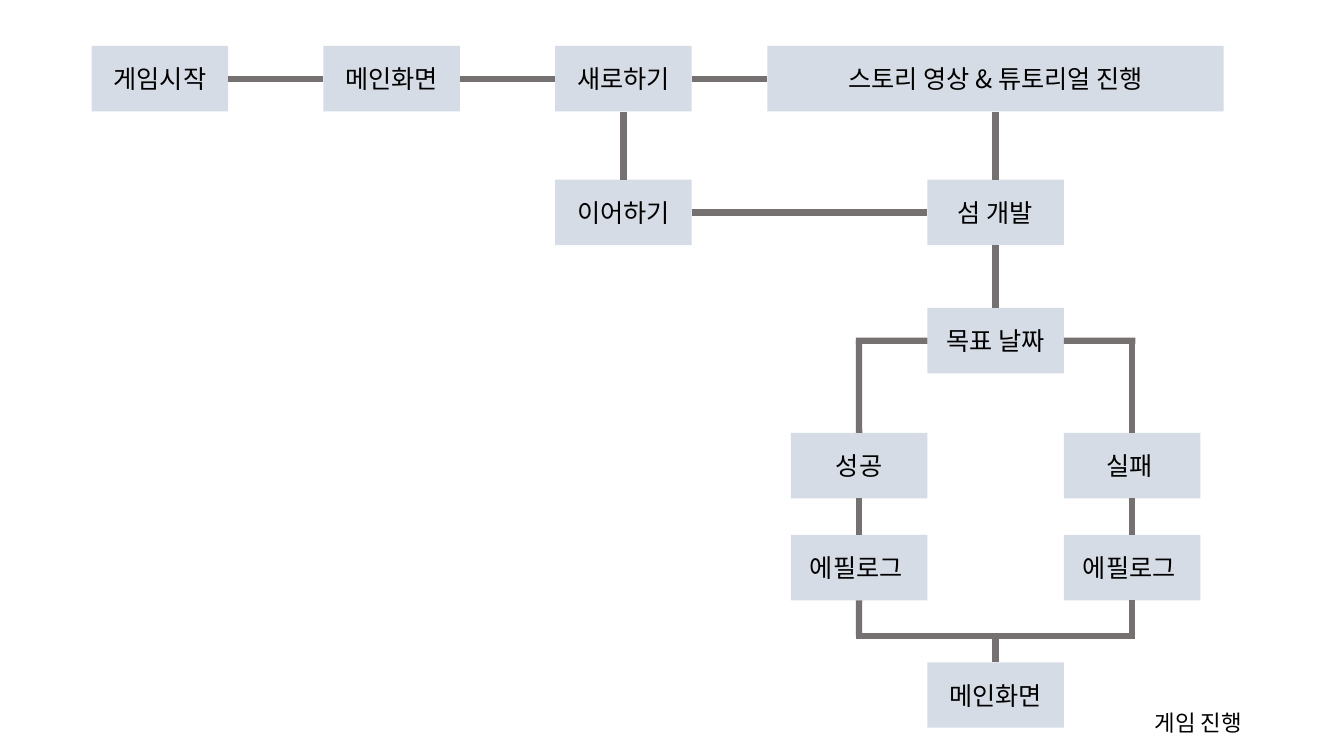
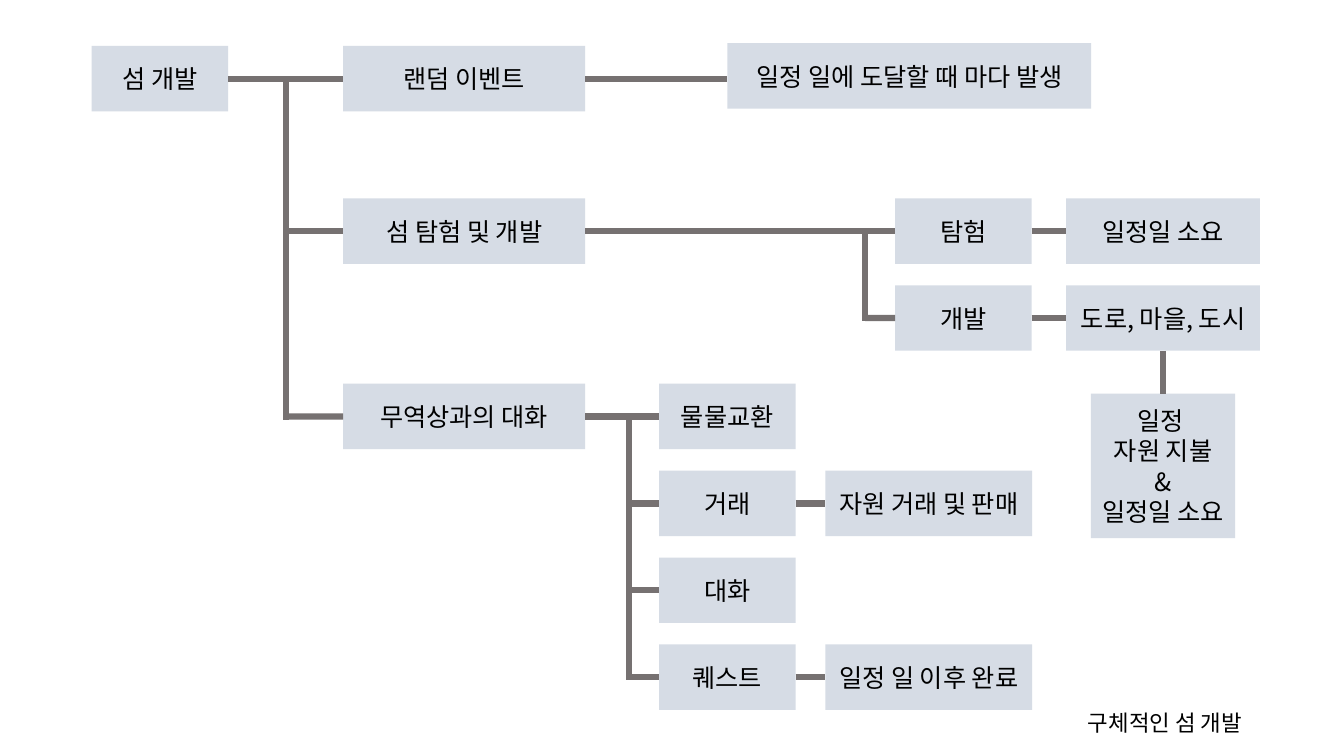
from dataclasses import dataclass
from typing import NamedTuple, Union

from lxml.etree import SubElement
from pptx import Presentation
from pptx.dml.color import RGBColor
from pptx.enum.shapes import MSO_CONNECTOR as Connector, MSO_SHAPE as Shape
from pptx.enum.text import MSO_ANCHOR as Anchor, MSO_AUTO_SIZE as AutoSize, PP_ALIGN as Align
from pptx.oxml.ns import qn
from pptx.util import Cm, Pt

FONT = "Noto Sans CJK KR"
BOX_FILL, LINE_COLOR, TEXT_COLOR = "D6DCE5", "767171", "000000"
LINE_WIDTH = 4.5
OVERLAP = 0.08  # half a line's width, squares off the corners
BOX_WIDTH, BOX_HEIGHT = 3.44, 1.65
HALF = BOX_HEIGHT / 2
FIRST_LEFT, FIRST_TOP = 2.31, 1.16
TOP, LEFT, BOTTOM, RIGHT = range(4)


@dataclass(frozen=True)
class Box:
    text: str
    left: float
    top: float
    width: float = BOX_WIDTH
    height: float = BOX_HEIGHT


class Port(NamedTuple):
    """The middle of one side of a named box."""
    box: str
    side: int


class Point(NamedTuple):
    x: float
    y: float


End = Union[Port, Point]


class Link(NamedTuple):
    begin: End
    end: End


def color(value: str) -> RGBColor:
    return RGBColor.from_string(value)


def write_text(frame, text: str, *, size: float = 18, align=Align.CENTER,
               anchor=Anchor.MIDDLE, spacing: float = 1.0) -> None:
    """Fill a text frame, one paragraph for each line of the text."""
    frame.word_wrap = True
    frame.auto_size = AutoSize.NONE
    frame.vertical_anchor = anchor
    frame.text = text
    for paragraph in frame.paragraphs:
        paragraph.alignment = align
        paragraph.line_spacing = spacing
        for run in paragraph.runs:
            run.font.name = FONT
            run.font.size = Pt(size)
            run.font.color.rgb = color(TEXT_COLOR)
            SubElement(run.font._element, qn("a:ea"), typeface=FONT)


def add_box(slide, box: Box):
    shape = slide.shapes.add_shape(
        Shape.RECTANGLE, Cm(box.left), Cm(box.top), Cm(box.width), Cm(box.height))
    shape.shadow.inherit = False
    shape.fill.solid()
    shape.fill.fore_color.rgb = color(BOX_FILL)
    shape.line.fill.background()
    write_text(shape.text_frame, box.text)
    return shape


def add_link(slide, shapes: dict, link: Link) -> None:
    """Draw a line, joined to a box at each end that is a Port."""
    begin, end = [(Cm(0), Cm(0)) if isinstance(point, Port) else (Cm(point.x), Cm(point.y))
                  for point in link]
    connector = slide.shapes.add_connector(Connector.STRAIGHT, *begin, *end)
    for point, connect in zip(link, (connector.begin_connect, connector.end_connect)):
        if isinstance(point, Port):
            connect(shapes[point.box], point.side)
    connector.line.color.rgb = color(LINE_COLOR)
    connector.line.width = Pt(LINE_WIDTH)
    SubElement(connector._element.spPr, qn("a:effectLst"))


def add_diagram(presentation, caption: str, boxes: dict[str, Box], links: list[Link]) -> None:
    slide = presentation.slides.add_slide(presentation.slide_layouts[5])
    shapes = {name: add_box(slide, box) for name, box in boxes.items()}
    for link in links:
        add_link(slide, shapes, link)
    title = slide.shapes.title
    title.left, title.top, title.width, title.height = Cm(13.87), Cm(17.4), Cm(17.68), Cm(1.19)
    write_text(title.text_frame, caption, size=16, align=Align.RIGHT,
               anchor=Anchor.TOP, spacing=1.5)


def across(left: str, right: str) -> Link:
    return Link(Port(left, RIGHT), Port(right, LEFT))


def down(upper: str, lower: str) -> Link:
    return Link(Port(upper, BOTTOM), Port(lower, TOP))


def trunk(x: float, first_top: float, last_top: float) -> Link:
    """A vertical line from the middle of one row to the middle of another."""
    return Link(Point(x, first_top + HALF), Point(x, last_top + HALF + OVERLAP))


def branch(x: float, box: str, top: float) -> Link:
    return Link(Point(x, top + HALF), Port(box, LEFT))


def add_game_flow(presentation) -> None:
    pitch = 5.84
    menu_left, new_left = FIRST_LEFT + pitch, FIRST_LEFT + 2 * pitch
    middle_left = 23.37
    win_left, lose_left = middle_left - BOX_WIDTH, middle_left + BOX_WIDTH
    middle, win, lose = [left + BOX_WIDTH / 2 for left in (middle_left, win_left, lose_left)]
    second_top, goal_top, result_top, epilogue_top = 4.53, 7.76, 10.91, 13.48
    goal_y, merge_y = goal_top + HALF, 16.03
    boxes = {
        "start": Box("게임시작", FIRST_LEFT, FIRST_TOP),
        "menu": Box("메인화면", menu_left, FIRST_TOP),
        "new": Box("새로하기", new_left, FIRST_TOP),
        "story": Box("스토리 영상 & 튜토리얼 진행", 19.34, FIRST_TOP, 11.5),
        "continue": Box("이어하기", new_left, second_top),
        "island": Box("섬 개발", middle_left, second_top),
        "goal": Box("목표 날짜", middle_left, goal_top),
        "win": Box("성공", win_left, result_top),
        "lose": Box("실패 ", lose_left, result_top),
        "win epilogue": Box("에필로그 ", win_left, epilogue_top),
        "lose epilogue": Box("에필로그 ", lose_left, epilogue_top),
        "end": Box("메인화면", middle_left, 16.69),
    }
    links = [
        across("start", "menu"), across("menu", "new"), across("new", "story"),
        down("new", "continue"), across("continue", "island"),
        down("story", "island"), down("island", "goal"),
        Link(Point(win - OVERLAP, merge_y), Point(lose + OVERLAP, merge_y)),
        Link(Point(middle, merge_y), Port("end", TOP)),
    ]
    for name, x, side, overlap in (("win", win, LEFT, -OVERLAP), ("lose", lose, RIGHT, OVERLAP)):
        epilogue = f"{name} epilogue"
        links += [
            Link(Port("goal", side), Point(x + overlap, goal_y)),
            Link(Point(x, goal_y), Port(name, TOP)),
            down(name, epilogue),
            Link(Port(epilogue, BOTTOM), Point(x, merge_y)),
        ]
    add_diagram(presentation, "게임 진행", boxes, links)


def add_island_development(presentation) -> None:
    row_pitch = 2.19
    explore_top, trader_top = 5.0, 9.67
    develop_top = explore_top + row_pitch
    barter_top, trade_top, talk_top, quest_top = [trader_top + row_pitch * row for row in range(4)]
    topic_left, topic_width = 8.65, 6.1
    trader_left, explore_left = 16.61, 22.56
    detail_left, detail_width = 20.8, 5.21
    cost_left, cost_width = 26.87, 4.88
    event_left, event_y = 18.33, FIRST_TOP + HALF
    island_x, trader_x, explore_x = 7.2, 15.85, 21.8
    boxes = {
        "island": Box("섬 개발", FIRST_LEFT, FIRST_TOP),
        "event": Box("랜덤 이벤트", topic_left, FIRST_TOP, topic_width),
        "survey": Box("섬 탐험 및 개발", topic_left, explore_top, topic_width),
        "trader": Box("무역상과의 대화", topic_left, trader_top, topic_width),
        "event date": Box("일정 일에 도달할 때 마다 발생", event_left, 1.09, 9.17),
        "explore": Box("탐험", explore_left, explore_top),
        "develop": Box("개발", explore_left, develop_top),
        "explore days": Box("일정일 소요", cost_left, explore_top, cost_width),
        "buildings": Box("도로, 마을, 도시", cost_left, develop_top, cost_width),
        "payment": Box("일정 \n자원 지불\n&\n일정일 소요", 27.49, 9.92, 3.64, 3.64),
        "barter": Box("물물교환", trader_left, barter_top),
        "trade": Box("거래", trader_left, trade_top),
        "talk": Box("대화", trader_left, talk_top),
        "quest": Box("퀘스트", trader_left, quest_top),
        "sale": Box("자원 거래 및 판매", detail_left, trade_top, detail_width),
        "quest end": Box("일정 일 이후 완료", detail_left, quest_top, detail_width),
    }
    links = [
        across("island", "event"),
        Link(Port("event", RIGHT), Point(event_left, event_y)),
        trunk(island_x, FIRST_TOP, trader_top),
        branch(island_x, "survey", explore_top),
        branch(island_x, "trader", trader_top),
        across("survey", "explore"),
        trunk(explore_x, explore_top, develop_top),
        branch(explore_x, "develop", develop_top),
        across("explore", "explore days"),
        across("develop", "buildings"),
        down("buildings", "payment"),
        across("trader", "barter"),
        trunk(trader_x, trader_top, quest_top),
        branch(trader_x, "trade", trade_top),
        branch(trader_x, "talk", talk_top),
        branch(trader_x, "quest", quest_top),
        across("trade", "sale"),
        across("quest", "quest end"),
    ]
    add_diagram(presentation, "구체적인 섬 개발", boxes, links)


def main() -> None:
    presentation = Presentation()
    presentation.slide_width, presentation.slide_height = Cm(33.87), Cm(19.05)
    add_game_flow(presentation)
    add_island_development(presentation)
    presentation.save("out.pptx")


if __name__ == "__main__":
    main()
